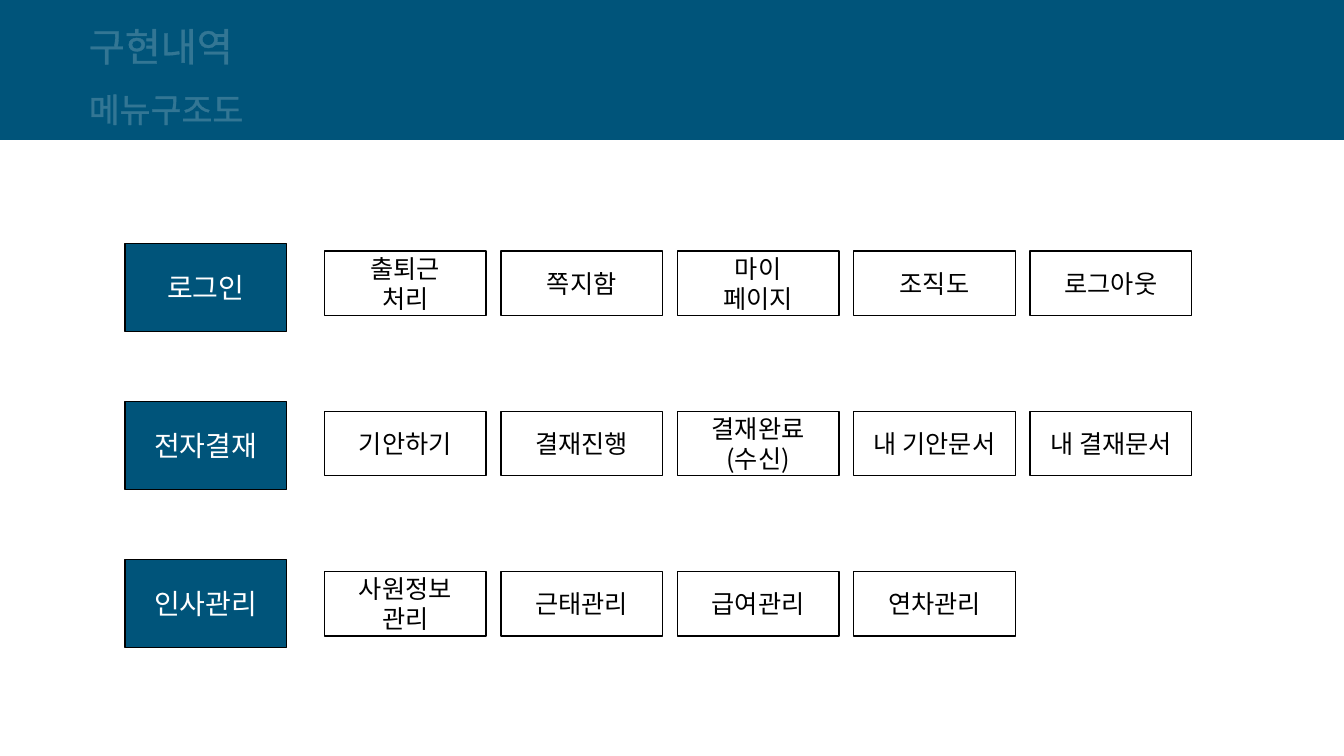
from lxml.etree import SubElement
from pptx import Presentation
from pptx.dml.color import RGBColor
from pptx.enum.shapes import MSO_SHAPE
from pptx.enum.text import MSO_ANCHOR, MSO_AUTO_SIZE, PP_ALIGN
from pptx.oxml import parse_xml
from pptx.oxml.ns import nsdecls, qn
from pptx.util import Pt

FONT = "Noto Sans CJK KR"
BLUE, WHITE, BLACK = "00547A", "FFFFFF", "000000"

OUTLINE = (
    f'<a:ln {nsdecls("a")} w="9525"><a:solidFill><a:srgbClr val="{WHITE}">'
    '<a:alpha val="20000"/></a:srgbClr></a:solidFill></a:ln>'
)

MENU = [
    ("로그인", ["출퇴근\n처리", "쪽지함", "마이\n페이지", "조직도", "로그아웃"]),
    ("전자결재", ["기안하기", "결재진행", "결재완료\n(수신)", "내 기안문서", "내 결재문서"]),
    ("인사관리", ["사원정보\n관리", "근태관리", "급여관리", "연차관리"]),
]


def write_text(shape, text, size, color, alignment):
    """Fill the shape with formatted text, one paragraph per line."""
    frame = shape.text_frame
    frame.text = text
    frame.vertical_anchor = MSO_ANCHOR.MIDDLE
    for paragraph in frame.paragraphs:
        paragraph.alignment = alignment
        paragraph.space_before = Pt(0)
        if len(frame.paragraphs) > 1:
            paragraph.line_spacing = Pt(size * 1.19)
        for run in paragraph.runs:
            run.font.size = Pt(size)
            run.font.name = FONT
            run.font.color.rgb = RGBColor.from_string(color)
            SubElement(run.font._element, qn("a:ea"), typeface=FONT)


def add_box(left, top, width, height, fill=None, line=None):
    box = slide.shapes.add_shape(
        MSO_SHAPE.RECTANGLE, Pt(left), Pt(top), Pt(width), Pt(height))
    box.shadow.inherit = False
    if fill:
        box.fill.solid()
        box.fill.fore_color.rgb = RGBColor.from_string(fill)
    else:
        box.fill.background()
    if line:
        box.line.color.rgb = RGBColor.from_string(line)
        box.line.width = Pt(1)
    else:
        box.line.fill.background()
    return box


presentation = Presentation()
presentation.slide_width = Pt(960)
presentation.slide_height = Pt(540)
slide = presentation.slides.add_slide(presentation.slide_layouts[0])

# Header band, behind the title and subtitle
band = add_box(0, 0, 960, 100, fill=BLUE)
slide.shapes._spTree.insert(2, band._element)

title, subtitle = slide.placeholders
for heading, text, size, top, width, height in [
    (title, "구현내역", 28, 12.2, 121, 41),
    (subtitle, "메뉴구조도", 24, 59.8, 128, 36),
]:
    heading.left, heading.top = Pt(56.2), Pt(top)
    heading.width, heading.height = Pt(width), Pt(height)
    write_text(heading, text, size, WHITE, PP_ALIGN.LEFT)
    heading.text_frame.word_wrap = False
    heading.text_frame.auto_size = MSO_AUTO_SIZE.NONE
    for run in heading.text_frame.paragraphs[0].runs:
        run.font._element.insert(0, parse_xml(OUTLINE))

# One row per main menu, followed by its submenus
for row, (menu, submenus) in enumerate(MENU):
    menu_box = add_box(89.2, 174 + 112.8 * row, 115.5, 62.8, BLUE, BLACK)
    write_text(menu_box, menu, 20, WHITE, PP_ALIGN.CENTER)
    for column, submenu in enumerate(submenus):
        submenu_box = add_box(
            231.8 + 126 * column, 179.4 + 114.4 * row, 115.5, 46, line=BLACK)
        write_text(submenu_box, submenu, 18, BLACK, PP_ALIGN.CENTER)

presentation.save("out.pptx")
